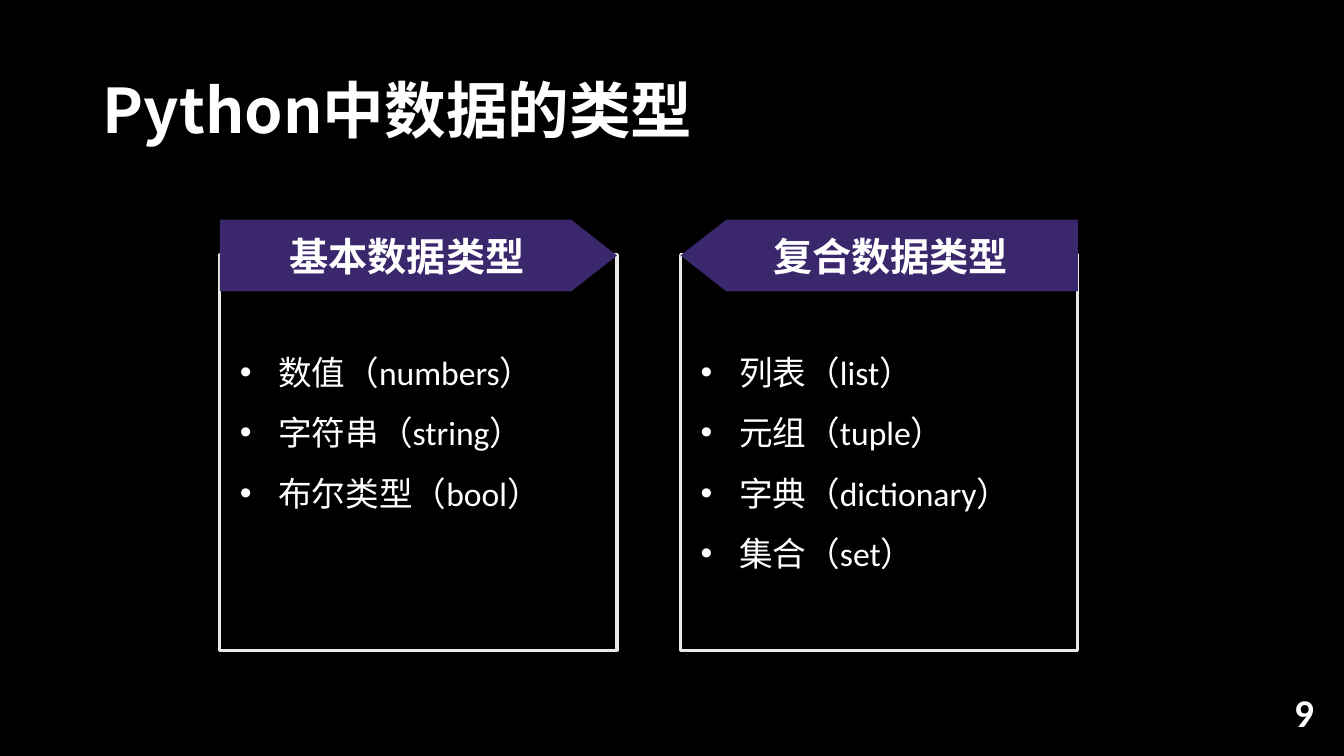
from pptx import Presentation
from pptx.dml.color import RGBColor
from pptx.enum.shapes import MSO_SHAPE
from pptx.enum.text import MSO_ANCHOR, MSO_AUTO_SIZE, PP_ALIGN
from pptx.oxml.ns import qn
from pptx.oxml.xmlchemy import OxmlElement
from pptx.util import Inches, Pt

PLATE = MSO_SHAPE.PENTAGON
MIDDLE = MSO_ANCHOR.MIDDLE
FIXED = MSO_AUTO_SIZE.NONE
LEFT, CENTER, RIGHT = PP_ALIGN.LEFT, PP_ALIGN.CENTER, PP_ALIGN.RIGHT

HAN, LATIN = "Noto Sans CJK SC", "Calibri"
BLACK, WHITE, PURPLE, GRAY = "000000", "FFFFFF", "3A276C", "E8E8E6"
WIDE, ROWS, PITCH = 3.94, 4, 0.6
PANELS = [
    (2.18, False, "基本数据类型",
     ["数值（numbers）", "字符串（string）", "布尔类型（bool）"]),
    (6.75, True, "复合数据类型",
     ["列表（list）", "元组（tuple）", "字典（dictionary）", "集合（set）"]),
]


def color(value):
    """Turn a hex string into a colour."""
    return RGBColor.from_string(value)


def place(shape, left, top, width, height):
    """Set the position and size of a shape in inches."""
    shape.left, shape.top = Inches(left), Inches(top)
    shape.width, shape.height = Inches(width), Inches(height)


def frame(shape, side, edge, wrap=True):
    """Prepare the text frame of a shape and return it."""
    body = shape.text_frame
    body.auto_size = FIXED
    body.word_wrap = wrap
    body.vertical_anchor = MIDDLE
    body.margin_left = body.margin_right = Inches(side)
    body.margin_top = body.margin_bottom = Inches(edge)
    return body


def style(para, size, name, bold, align, space):
    """Format a paragraph and its runs."""
    para.alignment = align
    para.line_spacing = space
    para.space_before = para.space_after = Pt(0)
    for run in para.runs:
        font = run.font
        font.size, font.name, font.bold = Pt(size), name, bold
        font.color.rgb = color(WHITE)
        asian = OxmlElement("a:ea")
        asian.set("typeface", HAN)
        font._element.append(asian)


def label(shape, text, size, name, align, side=0.1, space=1.0, wrap=True):
    """Write one bold line into a shape."""
    body = frame(shape, side, 0.04, wrap)
    body.text = text
    style(body.paragraphs[0], size, name, True, align, space)


def bullet(para):
    """Give a paragraph a hanging round bullet."""
    props = para._p.get_or_add_pPr()
    props.set("marL", str(Inches(0.38)))
    props.set("indent", str(-Inches(0.38)))
    mark = OxmlElement("a:buChar")
    mark.set("char", "•")
    props.append(mark)


def panel(holder, left, items):
    """Fill an outlined list panel, keeping room for all rows."""
    place(holder, left, 2.53, WIDE, 3.92)
    holder.line.color.rgb = color(GRAY)
    holder.line.width = Pt(2.25)
    body = frame(holder, 0.2, 0.04)
    body.margin_bottom = Inches(0.04 + PITCH * (ROWS - len(items)))
    body.text = "\n".join(items)
    for para in body.paragraphs:
        bullet(para)
        style(para, 24, LATIN, False, LEFT, 1.5)


def banner(slide, left, flip, text):
    """Draw a pointed heading over a panel."""
    shape = slide.shapes.add_shape(
        PLATE, Inches(left), Inches(2.18), Inches(WIDE), Inches(0.71))
    shape.adjustments[0] = 0.639
    shape.shadow.inherit = False
    shape.fill.solid()
    shape.fill.fore_color.rgb = color(PURPLE)
    shape.line.fill.background()
    if flip:
        shape._element.spPr.find(qn("a:xfrm")).set("flipH", "1")
    label(shape, text, 28, HAN, CENTER, side=0.08, wrap=False)


def main():
    """Build and save the slide."""
    deck = Presentation()
    deck.slide_width, deck.slide_height = Inches(13.33), Inches(7.5)
    slide = deck.slides.add_slide(deck.slide_layouts[3])
    slide.background.fill.solid()
    slide.background.fill.fore_color.rgb = color(BLACK)

    title = slide.shapes.title
    place(title, 0.92, 0.4, 11.5, 1.45)
    label(title, "Python中数据的类型", 44, HAN, LEFT, space=0.9)

    for spot, (left, flip, head, items) in enumerate(PANELS, 1):
        panel(slide.placeholders[spot], left, items)
        banner(slide, left, flip, head)

    page = slide.shapes.add_textbox(
        Inches(10.13), Inches(6.86), Inches(3), Inches(0.4))
    label(page, "9", 28, LATIN, RIGHT)
    deck.save("out.pptx")


if __name__ == "__main__":
    main()
